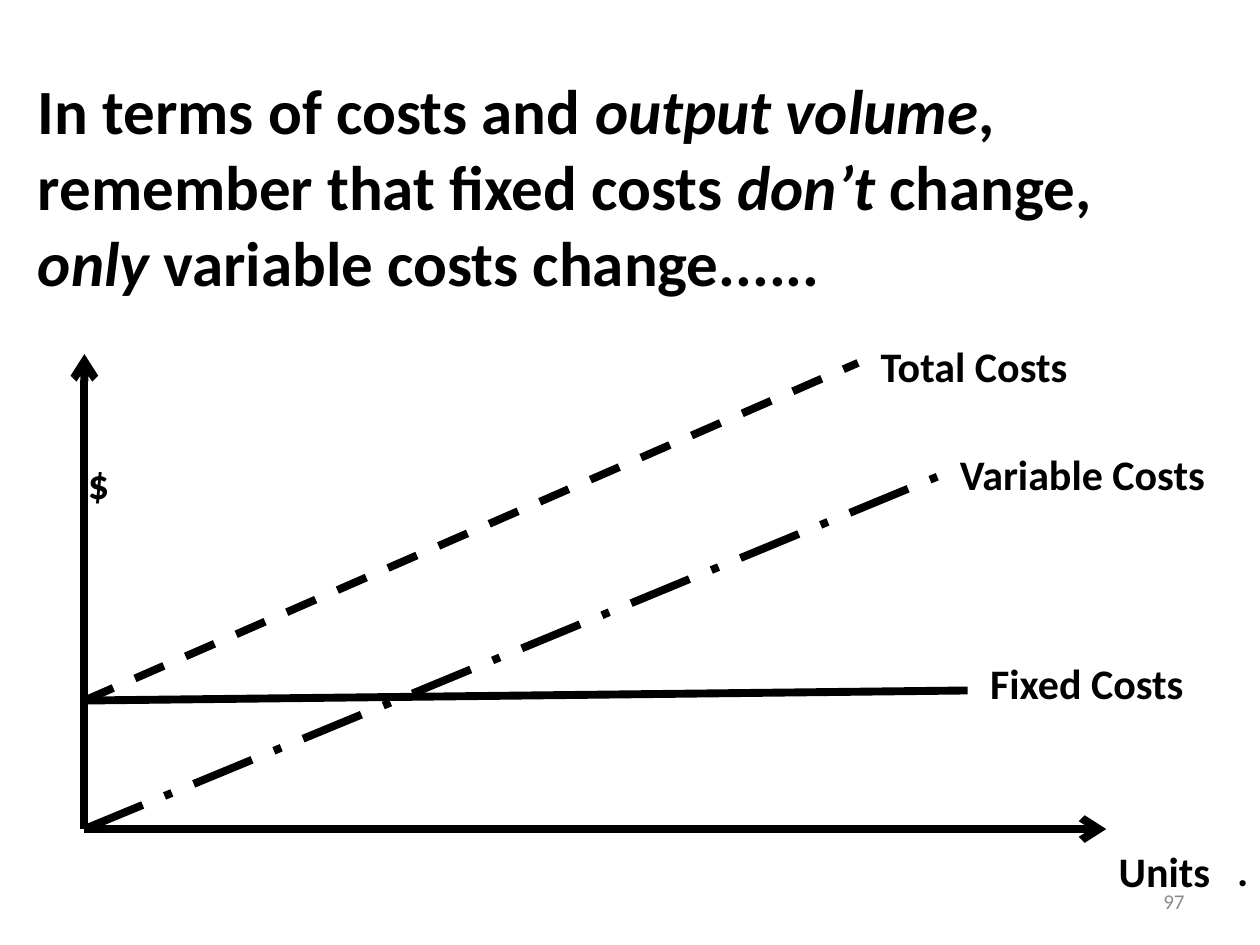
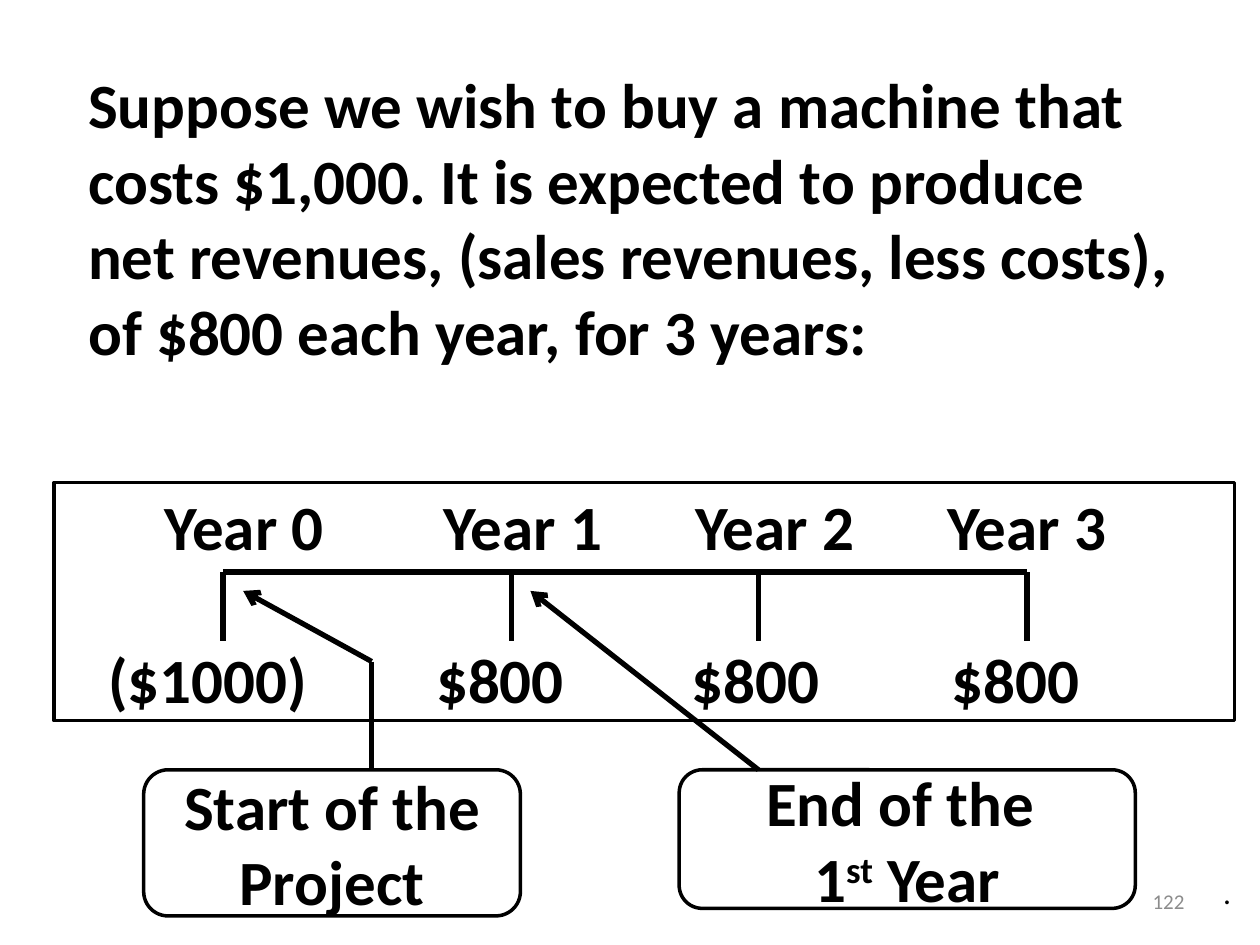
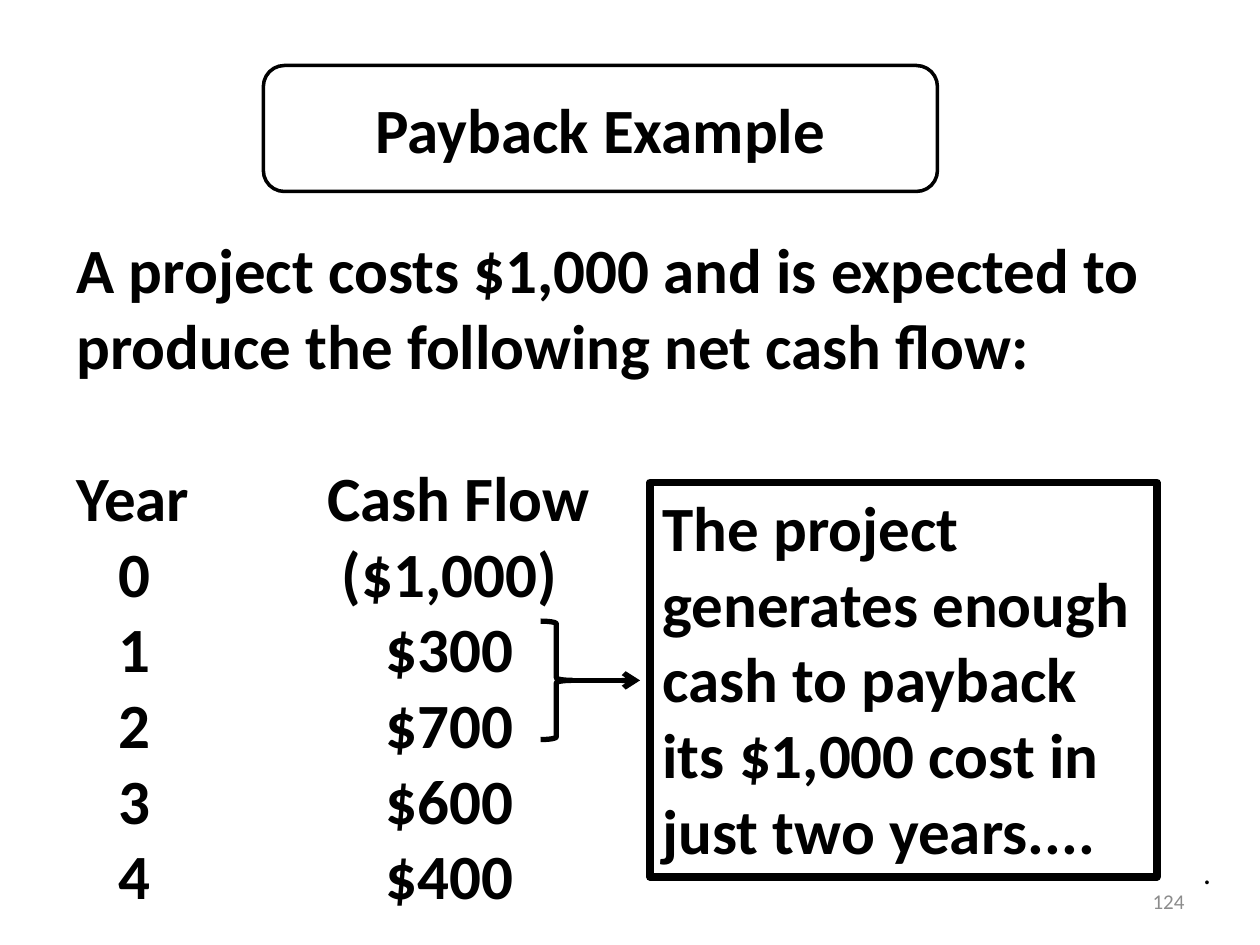
import pptx
import pptx.dml.color
import pptx.enum.dml
import pptx.enum.shapes
import pptx.enum.text
import pptx.oxml.ns
import pptx.util
from lxml import etree
from pptx.util import Inches

COLORS = {"ink": "000000", "number": "8C8C8C"}
FONT = "Calibri"
TITLE_ONLY = 5
BLANK_LINE = 44
SHAPES = pptx.enum.shapes.MSO_SHAPE
DASHES = pptx.enum.dml.MSO_LINE
ALIGN = pptx.enum.text.PP_ALIGN
ANCHOR = pptx.enum.text.MSO_ANCHOR
ITALIC, SUPERSCRIPT = "italic", "superscript"


def color(name):
    return pptx.dml.color.RGBColor.from_string(COLORS[name])


def add_xml(parent, tag, **attributes):
    return etree.SubElement(parent, pptx.oxml.ns.qn(tag), attributes)


def set_tabs(paragraph, stops):
    """Give the paragraph centred tab stops, in inches from the text edge."""
    tab_list = add_xml(paragraph._p.get_or_add_pPr(), "a:tabLst")
    for stop in stops:
        add_xml(tab_list, "a:tab", pos=str(Inches(stop)), algn="ctr")


class Deck:
    def __init__(self):
        self.presentation = pptx.Presentation()
        self.presentation.slide_width = Inches(10)
        self.presentation.slide_height = Inches(7.5)
        self.slide = None

    def new_slide(self, number):
        layout = self.presentation.slide_layouts[TITLE_ONLY]
        self.slide = self.presentation.slides.add_slide(layout)
        self.text([str(number)], 7.17, 6.95, 2.33, 0.4, size=12, bold=False,
                  ink="number", align=ALIGN.RIGHT, anchor=ANCHOR.MIDDLE)

    def fill_frame(self, frame, lines, size=36, bold=True, ink="ink",
                   align=ALIGN.LEFT, anchor=ANCHOR.TOP, tabs=None, gaps=None):
        """Fill a frame; a line is a string or a list of (text, style) runs.

        tabs and gaps map a line index to its tab stops and space before.
        """
        frame.auto_size = pptx.enum.text.MSO_AUTO_SIZE.NONE
        frame.word_wrap = True
        frame.vertical_anchor = anchor
        for index, line in enumerate(lines):
            paragraph = frame.paragraphs[0] if index == 0 else frame.add_paragraph()
            if tabs and index in tabs:
                set_tabs(paragraph, tabs[index])
            paragraph.alignment = align
            paragraph.space_before = pptx.util.Pt((gaps or {}).get(index, 0))
            font = paragraph.font
            font.name, font.size, font.bold = FONT, pptx.util.Pt(size), bold
            font.color.rgb = color(ink)
            for text, style in [(line, None)] if isinstance(line, str) else line:
                run = paragraph.add_run()
                run.text = text
                if style == ITALIC:
                    run.font.italic = True
                elif style == SUPERSCRIPT:
                    run._r.get_or_add_rPr().set("baseline", "30000")

    def title(self, lines, left, top, width, height, **style):
        title = self.slide.shapes.title
        title.left, title.top = Inches(left), Inches(top)
        title.width, title.height = Inches(width), Inches(height)
        self.fill_frame(title.text_frame, lines, **style)

    def text(self, lines, left, top, width, height, **style):
        box = self.slide.shapes.add_textbox(
            Inches(left), Inches(top), Inches(width), Inches(height))
        self.fill_frame(box.text_frame, lines, **style)

    def label(self, text, left, top, width):
        self.text([text], left, top, width, 0.5, size=24)

    def end_mark(self, left, top):
        self.text(["."], left, top, 0.27, 0.4, size=18, bold=False)

    def outline(self, kind, left, top, width, height, weight=2, lines=(), **style):
        shape = self.slide.shapes.add_shape(
            kind, Inches(left), Inches(top), Inches(width), Inches(height))
        shape.shadow.inherit = False
        shape.fill.background()
        shape.line.color.rgb = color("ink")
        shape.line.width = pptx.util.Pt(weight)
        if lines:
            self.fill_frame(shape.text_frame, lines, **style)

    def line(self, start, end, weight=3, dash=None, arrow=False):
        connector = self.slide.shapes.add_connector(
            pptx.enum.shapes.MSO_CONNECTOR.STRAIGHT,
            *(Inches(value) for value in (*start, *end)))
        connector.line.color.rgb = color("ink")
        connector.line.width = pptx.util.Pt(weight)
        if dash:
            connector.line.dash_style = dash
        properties = connector._element.spPr
        if arrow:
            outline = properties.find(pptx.oxml.ns.qn("a:ln"))
            add_xml(outline, "a:tailEnd", type="arrow")
        add_xml(properties, "a:effectLst")


def build_cost_lines(deck):
    deck.new_slide(97)
    deck.title([
        [("In terms of costs and ", None), ("output volume", ITALIC), (",", None)],
        [("remember that fixed costs ", None), ("don’t", ITALIC), (" change,", None)],
        [("only", ITALIC), (" variable costs change......", None)],
    ], 0.2, 0.52, 8.89, 2)
    origin, fixed_start = (0.67, 6.58), (0.67, 5.56)
    for axis_end in ((0.67, 2.81), (8.78, 6.58)):
        deck.line(origin, axis_end, 4.5, arrow=True)
    deck.line(fixed_start, (7.68, 5.48), 4.5)
    deck.line(origin, (7.52, 3.75), 4.5, DASHES.LONG_DASH_DOT)
    deck.line(fixed_start, (6.81, 2.88), 4.5, DASHES.DASH)
    for label in (("$", 0.6, 3.58, 0.47), ("Units", 8.78, 6.66, 0.94),
                  ("Total Costs", 6.89, 2.65, 1.75),
                  ("Variable Costs", 7.52, 3.51, 2.17),
                  ("Fixed Costs", 7.76, 5.17, 1.75), (".", 9.72, 6.65, 0.27)):
        deck.label(*label)


def build_timeline(deck):
    deck.new_slide(122)
    deck.title([
        "Suppose we wish to buy a machine that",
        "costs $1,000. It is expected to produce",
        "net revenues, (sales revenues, less costs),",
        "of $800 each year, for 3 years:",
    ], 0.6, 0.47, 9, 2.52)
    deck.outline(SHAPES.RECTANGLE, 0.43, 3.83, 9.37, 1.89, lines=[
        "\tYear 0\tYear 1\tYear 2\tYear 3",
        "\t($1000)\t$800\t$800\t$800",
    ], anchor=ANCHOR.MIDDLE, gaps={1: BLANK_LINE},
        tabs={0: (1.41, 3.62, 5.62, 7.62), 1: (1.12, 3.44, 5.47, 7.53)})
    ticks = (1.77, 4.06, 6.02, 8.15)
    deck.line((ticks[0], 4.54), (ticks[-1], 4.54))
    for tick in ticks:
        deck.line((tick, 4.54), (tick, 5.09))
    callout = {"align": ALIGN.CENTER, "anchor": ANCHOR.MIDDLE}
    deck.outline(SHAPES.ROUNDED_RECTANGLE, 1.14, 6.11, 2.99, 1.16,
                 lines=["Start of the Project"], **callout)
    deck.outline(SHAPES.ROUNDED_RECTANGLE, 5.39, 6.11, 3.62, 1.1, lines=[
        "End of the ", [("1", None), ("st", SUPERSCRIPT), (" Year", None)]], **callout)
    deck.line((2.95, 5.25), (1.93, 4.69), arrow=True)
    deck.line((2.95, 5.25), (2.95, 6.11))
    deck.line((6.02, 6.11), (4.21, 4.69), arrow=True)
    deck.end_mark(9.61, 6.88)


def build_payback(deck):
    deck.new_slide(124)
    title_box = (2.09, 0.52, 5.35, 1)
    deck.outline(SHAPES.ROUNDED_RECTANGLE, *title_box)
    deck.title(["Payback Example"], *title_box,
               align=ALIGN.CENTER, anchor=ANCHOR.MIDDLE)
    intro = ["A project costs $1,000 and is expected to",
             "produce the following net cash flow:"]
    cash_flows = ["($1,000)", "$300", "$700", "$600", "$400"]
    rows = [f"\t{year}\t{cash}" for year, cash in enumerate(cash_flows)]
    header = len(intro)
    tabs = {header + 1 + year: (0.46, 2.96) for year in range(len(rows))}
    tabs[header] = (3.03,)
    deck.text(intro + ["Year\tCash Flow"] + rows, 0.51, 1.78, 8.73, 5.55,
              tabs=tabs, gaps={header: BLANK_LINE})
    deck.outline(SHAPES.RIGHT_BRACE, 4.29, 4.93, 0.25, 0.94, weight=3)
    deck.outline(SHAPES.RECTANGLE, 5.16, 3.83, 4.02, 3.13, weight=4.5, lines=[
        "The project", "generates enough cash to payback",
        "its $1,000 cost in just two years...."])
    deck.line((4.54, 5.4), (5.08, 5.4), arrow=True)
    deck.end_mark(9.45, 6.72)


def main():
    deck = Deck()
    build_cost_lines(deck)
    build_timeline(deck)
    build_payback(deck)
    deck.presentation.save("out.pptx")


if __name__ == "__main__":
    main()
